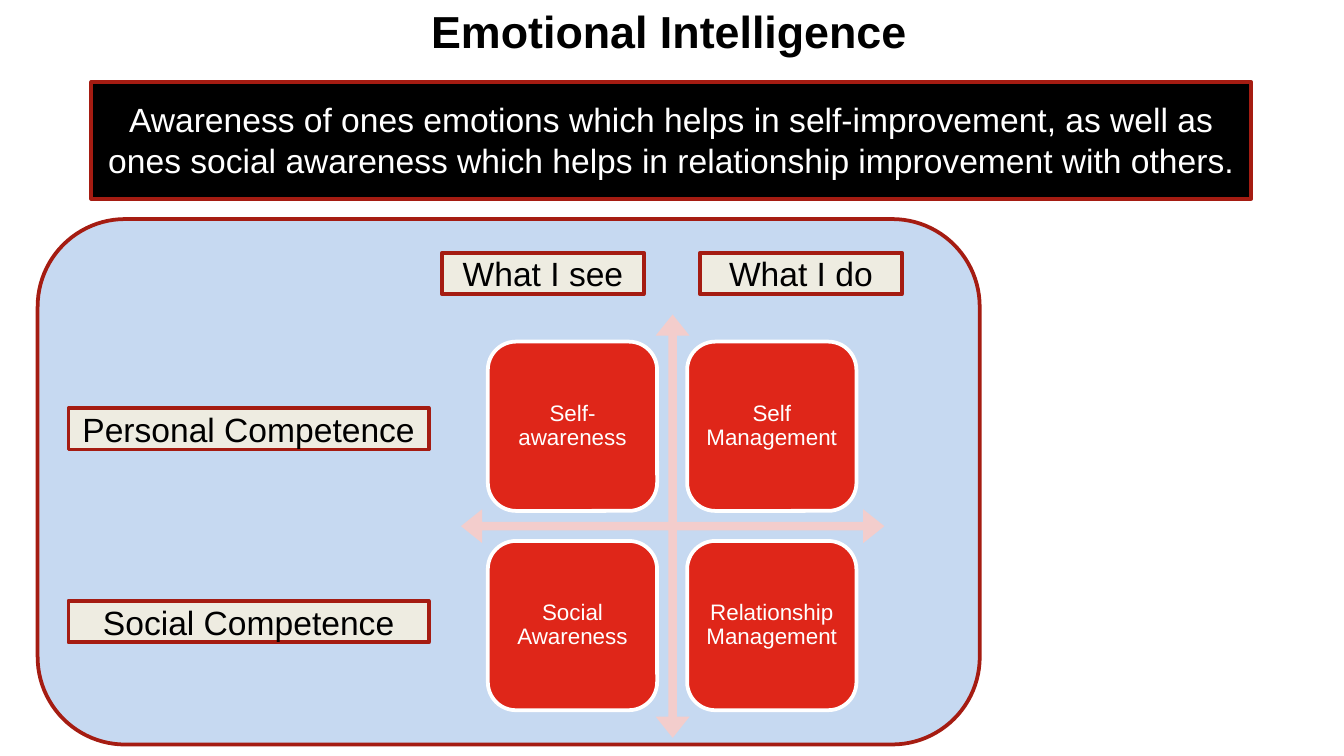
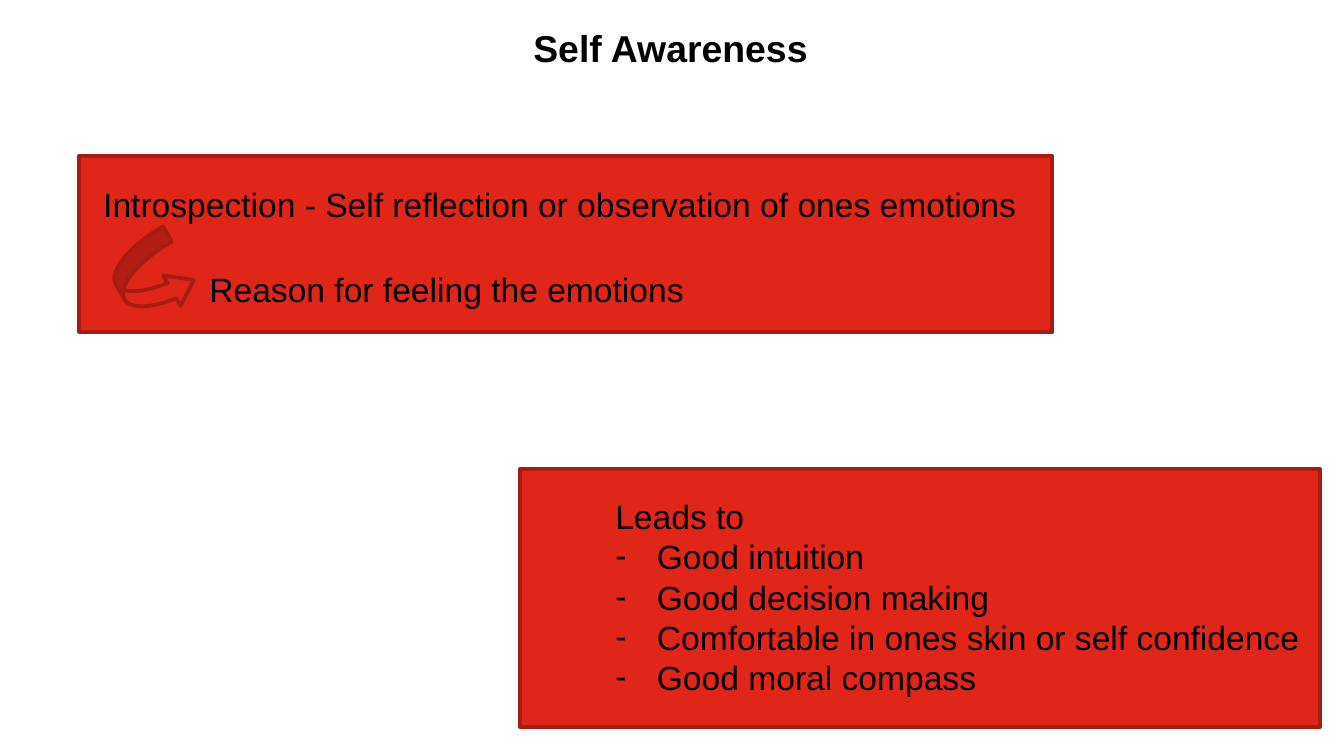
from dataclasses import dataclass
from itertools import product
from typing import Optional

from lxml import etree
from pptx import Presentation, util as u
from pptx.dml.color import RGBColor
from pptx.enum import shapes as kinds, text as t
from pptx.oxml.ns import qn

# Grid: 100 columns by 56.25 rows of square cells
COLUMNS, ROWS = 100, 56.25
SLIDE_WIDTH = u.Inches(10)
CELL = SLIDE_WIDTH / COLUMNS

# Palette
BLACK = RGBColor(0x00, 0x00, 0x00)
WHITE = RGBColor(0xFF, 0xFF, 0xFF)
RED = RGBColor(0xDF, 0x26, 0x19)
DARK_RED = RGBColor(0xA5, 0x1C, 0x12)
PINK = RGBColor(0xF3, 0xCD, 0xCC)
SKY = RGBColor(0xC6, 0xD9, 0xF1)
CREAM = RGBColor(0xEE, 0xEC, 0xE1)

FONT = "Arial"
RECTANGLE = kinds.MSO_SHAPE.RECTANGLE
ROUNDED = kinds.MSO_SHAPE.ROUNDED_RECTANGLE
CENTER = t.PP_ALIGN.CENTER


@dataclass(frozen=True)
class Box:
    """Position and size in grid cells."""
    left: float
    top: float
    width: float
    height: float

    def emu(self) -> list[u.Emu]:
        return [u.Emu(round(value * CELL))
                for value in (self.left, self.top, self.width, self.height)]

    def inset(self, margin: float) -> "Box":
        return Box(self.left + margin, self.top + margin,
                   self.width - 2 * margin, self.height - 2 * margin)


@dataclass(frozen=True)
class Panel:
    box: Box
    fill: RGBColor
    line: Optional[RGBColor] = DARK_RED
    kind: kinds.MSO_SHAPE = RECTANGLE
    adjustments: tuple[float, ...] = ()
    rotation: float = 0


@dataclass(frozen=True)
class Style:
    size: float = 18
    color: RGBColor = BLACK
    bold: bool = False
    align: t.PP_ALIGN = t.PP_ALIGN.LEFT
    line_spacing: Optional[float] = None


TITLE_SIZES = {"main": 24, "topic": 20}
BODY = Style()
LABEL = Style(align=CENTER)
DEFINITION = Style(color=WHITE, align=CENTER)
TILE = Style(size=12, color=WHITE, align=CENTER, line_spacing=0.9)

GROWING = {"auto_size": t.MSO_AUTO_SIZE.SHAPE_TO_FIT_TEXT}
WRAPPED = {**GROWING, "word_wrap": True}
UNWRAPPED = {**GROWING, "word_wrap": False}
MIDDLE = {"word_wrap": True, "vertical_anchor": t.MSO_ANCHOR.MIDDLE}
TILE_FRAME = {**MIDDLE, **{f"margin_{side}": u.Inches(0.05)
                           for side in ("left", "top", "right", "bottom")}}


def set_all(target, values: dict) -> None:
    for name, value in values.items():
        setattr(target, name, value)


def add_bullet(paragraph, character: str = "-") -> None:
    properties = paragraph._p.get_or_add_pPr()
    indent = u.Inches(0.31)
    properties.set("marL", str(indent))
    properties.set("indent", str(-indent))
    etree.SubElement(properties, qn("a:buFont")).set("typeface", FONT)
    etree.SubElement(properties, qn("a:buChar")).set("char", character)


def write(shape, lines: list[str], style: Style, frame_format: dict,
          first_bullet: Optional[int] = None) -> None:
    frame = shape.text_frame
    set_all(frame, frame_format)
    for index, line in enumerate(lines):
        paragraph = frame.paragraphs[0] if index == 0 else frame.add_paragraph()
        set_all(paragraph, {"alignment": style.align, "line_spacing": style.line_spacing})
        if first_bullet is not None and index >= first_bullet:
            add_bullet(paragraph)
        run = paragraph.add_run()
        run.text = line
        set_all(run.font, {"name": FONT, "size": u.Pt(style.size), "bold": style.bold})
        run.font.color.rgb = style.color


def draw_panel(canvas, panel: Panel):
    shape = canvas.add_shape(panel.kind, *panel.box.emu())
    shape.shadow.inherit = False
    shape.rotation = panel.rotation
    shape.fill.solid()
    shape.fill.fore_color.rgb = panel.fill
    if panel.line is None:
        shape.line.fill.background()
    else:
        shape.line.color.rgb = panel.line
        shape.line.width = u.Pt(2)
    for index, value in enumerate(panel.adjustments):
        shape.adjustments[index] = value
    return shape


def draw_text(canvas, box: Box, lines: list[str], style: Style = BODY,
              frame_format: dict = UNWRAPPED, first_bullet: Optional[int] = None) -> None:
    write(canvas.add_textbox(*box.emu()), lines, style, frame_format, first_bullet)


def draw_title(slide, box: Box, title: str, level: str) -> None:
    draw_text(slide.shapes, box, [title], Style(TITLE_SIZES[level], bold=True))


def add_group(slide):
    return slide.shapes.add_group_shape().shapes


def build_emotional_intelligence(slide) -> None:
    draw_panel(slide.shapes, Panel(Box(2.8, 16.3, 70.1, 39.1), SKY, kind=ROUNDED))

    # Definition band
    band = add_group(slide)
    draw_panel(band, Panel(Box(6.8, 6.1, 86.3, 8.7), BLACK))
    draw_text(band, Box(6.8, 6.9, 86.3, 7.1), [
        "Awareness of ones emotions which helps in self-improvement, as well as",
        "ones social awareness which helps in relationship improvement with others.",
    ], DEFINITION, WRAPPED)

    # Competence matrix
    matrix = add_group(slide)
    draw_panel(matrix, Panel(Box(34.3, 23.4, 31.5, 31.5), PINK, None,
                             kinds.MSO_SHAPE.QUAD_ARROW, (0.02, 0.04, 0.05)))
    skills = ["Self-awareness", "Self Management",
              "Social Awareness", "Relationship Management"]
    tile_size, tile_step = 12.6, 14.83
    for (row, column), skill in zip(product(range(2), repeat=2), skills):
        box = Box(36.3 + column * tile_step, 25.42 + row * tile_step, tile_size, tile_size)
        draw_panel(matrix, Panel(box, RED, WHITE, ROUNDED))
        draw_text(matrix, box.inset(0.6), [skill], TILE, TILE_FRAME)

    # Column and row labels
    labels = {
        "What I see": (32.9, 18.8, 15),
        "What I do": (52.1, 18.8, 15),
        "Social Competence": (5.1, 44.7, 26.8),
        "Personal Competence": (5.1, 30.35, 26.8),
    }
    for label, (left, top, width) in labels.items():
        shape = draw_panel(slide.shapes, Panel(Box(left, top, width, 3.1), CREAM))
        write(shape, [label], LABEL, MIDDLE)

    draw_title(slide, Box(31.1, -0.2, 37.7, 5), "Emotional Intelligence", "main")


def build_self_awareness(slide) -> None:
    draw_title(slide, Box(38.7, 1.4, 22.6, 4.4), "Self Awareness", "topic")

    # Introspection and its reason
    introspection = add_group(slide)
    draw_panel(introspection, Panel(Box(5.9, 11.6, 72.4, 13.1), RED))
    draw_text(introspection, Box(6.7, 13.2, 70.6, 4),
              ["Introspection - Self reflection or observation of ones emotions"])
    draw_text(introspection, Box(14.6, 19.5, 37.6, 4), ["Reason for feeling the emotions"])
    draw_panel(introspection, Panel(Box(8.4, 18.1, 5.9, 5.2), RED,
                                    kind=kinds.MSO_SHAPE.CURVED_UP_ARROW,
                                    adjustments=(0.25, 0.5, 0.35), rotation=60.1))

    # Results
    results = add_group(slide)
    draw_panel(results, Panel(Box(38.7, 34.9, 59.5, 19.2), RED))
    draw_text(results, Box(44.8, 36.4, 53.4, 16.2), [
        "Leads to",
        "Good intuition",
        "Good decision making",
        "Comfortable in ones skin or self confidence",
        "Good moral compass",
    ], first_bullet=1)


def main() -> None:
    presentation = Presentation()
    presentation.slide_width = SLIDE_WIDTH
    presentation.slide_height = u.Emu(round(ROWS * CELL))
    blank = presentation.slide_layouts[6]
    for build in (build_emotional_intelligence, build_self_awareness):
        build(presentation.slides.add_slide(blank))
    presentation.save("out.pptx")


if __name__ == "__main__":
    main()
